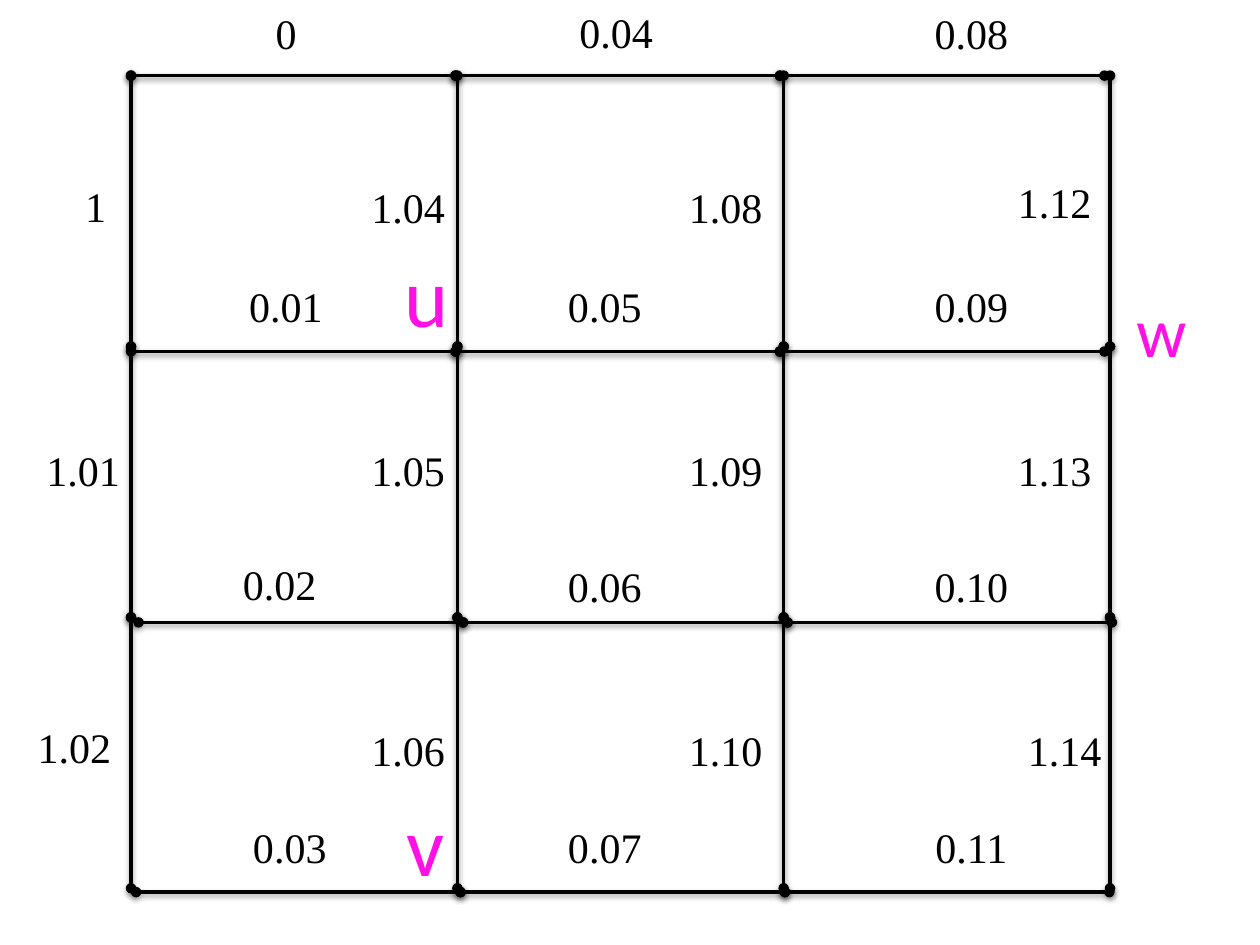
from dataclasses import dataclass

from lxml import etree
from pptx import Presentation
from pptx.dml.color import RGBColor
from pptx.enum.shapes import MSO_CONNECTOR
from pptx.enum.text import MSO_AUTO_SIZE, PP_ALIGN
from pptx.oxml.ns import qn
from pptx.util import Inches, Pt

STRAIGHT = MSO_CONNECTOR.STRAIGHT
GROW = MSO_AUTO_SIZE.SHAPE_TO_FIT_TEXT
CENTER = PP_ALIGN.CENTER
LEFT = PP_ALIGN.LEFT


@dataclass(frozen=True)
class Theme:
    ink: RGBColor = RGBColor(0x00, 0x00, 0x00)
    accent: RGBColor = RGBColor(0xFF, 0x10, 0xE4)
    weight_font: str = "Times New Roman"
    vertex_font: str = "Calibri"
    weight_size: int = 24
    edge_width: int = 2


THEME = Theme()
CELLS = 3
GRID_LEFT, GRID_TOP = 1.04, 0.6
COLUMN_STEP, ROW_STEP = 2.59, 2.15
ACROSS_STEP = 2.575
ACROSS_STARTS = [(1.04, 0.6), (1.04, 2.79), (1.1, 4.94), (1.08, 7.08)]

WEIGHT_HEIGHT = 0.52
ACROSS_WIDTHS = [0.87, 1, 1]
ACROSS_CENTERS = [2.27, 4.8, 7.71]
ACROSS_TOPS = [0.01, 2.18, 4.4, 6.47]
ACROSS_NUDGES = {(1, 0): (0.09, -0.01), (0, 2): (-0.05, -0.02), (0, 3): (0.03, 0)}
DOWN_WIDTH = 1.26
DOWN_CENTERS = [0.66, 3.24, 5.76, 8.37]
DOWN_TOPS = [1.39, 3.48, 5.7]
DOWN_NUDGES = {(0, 0): (0.1, -0.01), (0, 2): (-0.07, -0.02),
               (3, 0): (0, -0.04), (3, 2): (0.08, 0)}

VERTICES = [("v", 3.13, 6.24, 0.51, 0.91, 48),
            ("w", 8.92, 2.23, 0.6, 0.77, 40),
            ("u", 3.11, 1.88, 0.56, 0.91, 48)]


def add_edge(slide, x1, y1, x2, y2):
    edge = slide.shapes.add_connector(
        STRAIGHT, Inches(x1), Inches(y1), Inches(x2), Inches(y2))
    edge.line.color.rgb = THEME.ink
    edge.line.width = Pt(THEME.edge_width)
    outline = edge.line._get_or_add_ln()
    for end in ("a:headEnd", "a:tailEnd"):
        etree.SubElement(outline, qn(end), type="oval")
    effects = etree.SubElement(edge._element.spPr, qn("a:effectLst"))
    shadow = etree.SubElement(
        effects, qn("a:outerShdw"), blurRad="40000", dist="20000",
        dir="5400000", rotWithShape="0")
    shade = etree.SubElement(shadow, qn("a:srgbClr"), val=str(THEME.ink))
    etree.SubElement(shade, qn("a:alpha"), val="38000")


def add_label(slide, text, left, top, width, height, size, font, color, align, wrap):
    label = slide.shapes.add_textbox(
        Inches(left), Inches(top), Inches(width), Inches(height))
    frame = label.text_frame
    frame.text = text
    frame.word_wrap = wrap
    frame.auto_size = GROW
    paragraph = frame.paragraphs[0]
    paragraph.alignment = align
    run_font = paragraph.runs[0].font
    run_font.name = font
    run_font.size = Pt(size)
    run_font.color.rgb = color


def add_weight(slide, base, column, row, center, top, width, nudges):
    value = base + 0.04 * column + 0.01 * row
    text = str(base) if column == row == 0 else f"{value:.2f}"
    dx, dy = nudges.get((column, row), (0, 0))
    add_label(slide, text, center - width / 2 + dx, top + dy, width, WEIGHT_HEIGHT,
              THEME.weight_size, THEME.weight_font, THEME.ink, CENTER, True)


def add_grid(slide):
    for start, y in ACROSS_STARTS:
        for column in range(CELLS):
            x = start + column * ACROSS_STEP
            add_edge(slide, x + ACROSS_STEP, y, x, y)
    for column in range(CELLS + 1):
        x = GRID_LEFT + column * COLUMN_STEP
        for row in range(CELLS):
            y = GRID_TOP + row * ROW_STEP
            add_edge(slide, x, y + ROW_STEP, x, y)


def add_weights(slide):
    for row, top in enumerate(ACROSS_TOPS):
        for column, center in enumerate(ACROSS_CENTERS):
            add_weight(slide, 0, column, row, center, top,
                       ACROSS_WIDTHS[column], ACROSS_NUDGES)
    for column, center in enumerate(DOWN_CENTERS):
        for row, top in enumerate(DOWN_TOPS):
            add_weight(slide, 1, column, row, center, top, DOWN_WIDTH, DOWN_NUDGES)


def main():
    deck = Presentation()
    deck.slide_width, deck.slide_height = Inches(10), Inches(7.5)
    slide = deck.slides.add_slide(deck.slide_layouts[6])
    add_grid(slide)
    add_weights(slide)
    for name, left, top, width, height, size in VERTICES:
        add_label(slide, name, left, top, width, height, size,
                  THEME.vertex_font, THEME.accent, LEFT, False)
    deck.save("out.pptx")


if __name__ == "__main__":
    main()
